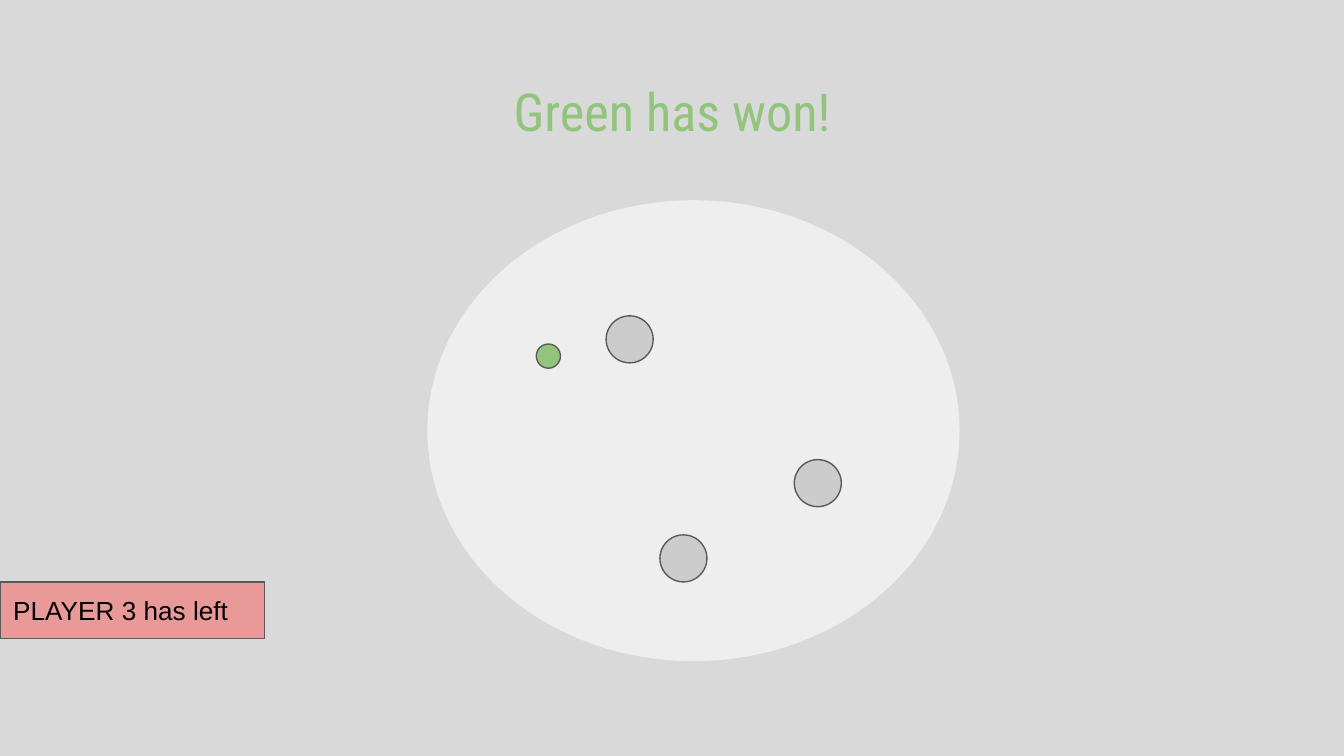
"""Builds the end-of-game slide: the arena, its discs, the winner and a notice."""
from pptx import Presentation
from pptx.dml.color import RGBColor
from pptx.enum.shapes import MSO_SHAPE
from pptx.enum.text import MSO_ANCHOR, PP_ALIGN
from pptx.util import Inches, Pt

OVAL, RECTANGLE = MSO_SHAPE.OVAL, MSO_SHAPE.RECTANGLE
TOP, MIDDLE = MSO_ANCHOR.TOP, MSO_ANCHOR.MIDDLE
LEFT, CENTER = PP_ALIGN.LEFT, PP_ALIGN.CENTER
GREEN, GRAY, OUTLINE = "93C47D", "CCCCCC", "595959"


def add_filled(kind, left, top, width, height, fill, outline=None):
    shape = page.shapes.add_shape(
        kind, Inches(left), Inches(top), Inches(width), Inches(height))
    shape.shadow.inherit = False
    shape.fill.solid()
    shape.fill.fore_color.rgb = RGBColor.from_string(fill)
    if outline:
        shape.line.color.rgb = RGBColor.from_string(outline)
        shape.line.width = Pt(0.75)
    else:
        shape.line.fill.background()
    return shape


def write(shape, text, font, size, color, align, anchor):
    frame = shape.text_frame
    frame.word_wrap = True
    frame.vertical_anchor = anchor
    frame.margin_left = frame.margin_right = Inches(0.1)
    frame.margin_top = frame.margin_bottom = Inches(0.1)
    para = frame.paragraphs[0]
    para.text = text
    para.alignment = align
    para.font.name = font
    para.font.size = Pt(size)
    para.font.color.rgb = RGBColor.from_string(color)


deck = Presentation()
deck.slide_width = Inches(10)
deck.slide_height = Inches(10 * 9 / 16)
page = deck.slides.add_slide(deck.slide_layouts[5])
page.background.fill.solid()
page.background.fill.fore_color.rgb = RGBColor.from_string("D9D9D9")

add_filled(OVAL, 3.18, 1.49, 3.96, 3.43, "EEEEEE")

discs = [
    (5.91, 3.42, 0.35, GRAY),
    (4.91, 3.98, 0.35, GRAY),
    (4.51, 2.35, 0.35, GRAY),
    (3.99, 2.56, 0.18, GREEN),
]
for left, top, diameter, fill in discs:
    add_filled(OVAL, left, top, diameter, diameter, fill, OUTLINE)

title = page.shapes.title
title.left, title.top = Inches(0.34), Inches(0.49)
title.width, title.height = Inches(9.32), Inches(0.63)
write(title, "Green has won!", "Roboto Condensed", 28, GREEN, CENTER, TOP)

notice = add_filled(RECTANGLE, 0, 4.33, 1.97, 0.42, "EA9999", OUTLINE)
write(notice, "PLAYER 3 has left", "Arial", 14, "000000", LEFT, MIDDLE)

deck.save("out.pptx")
